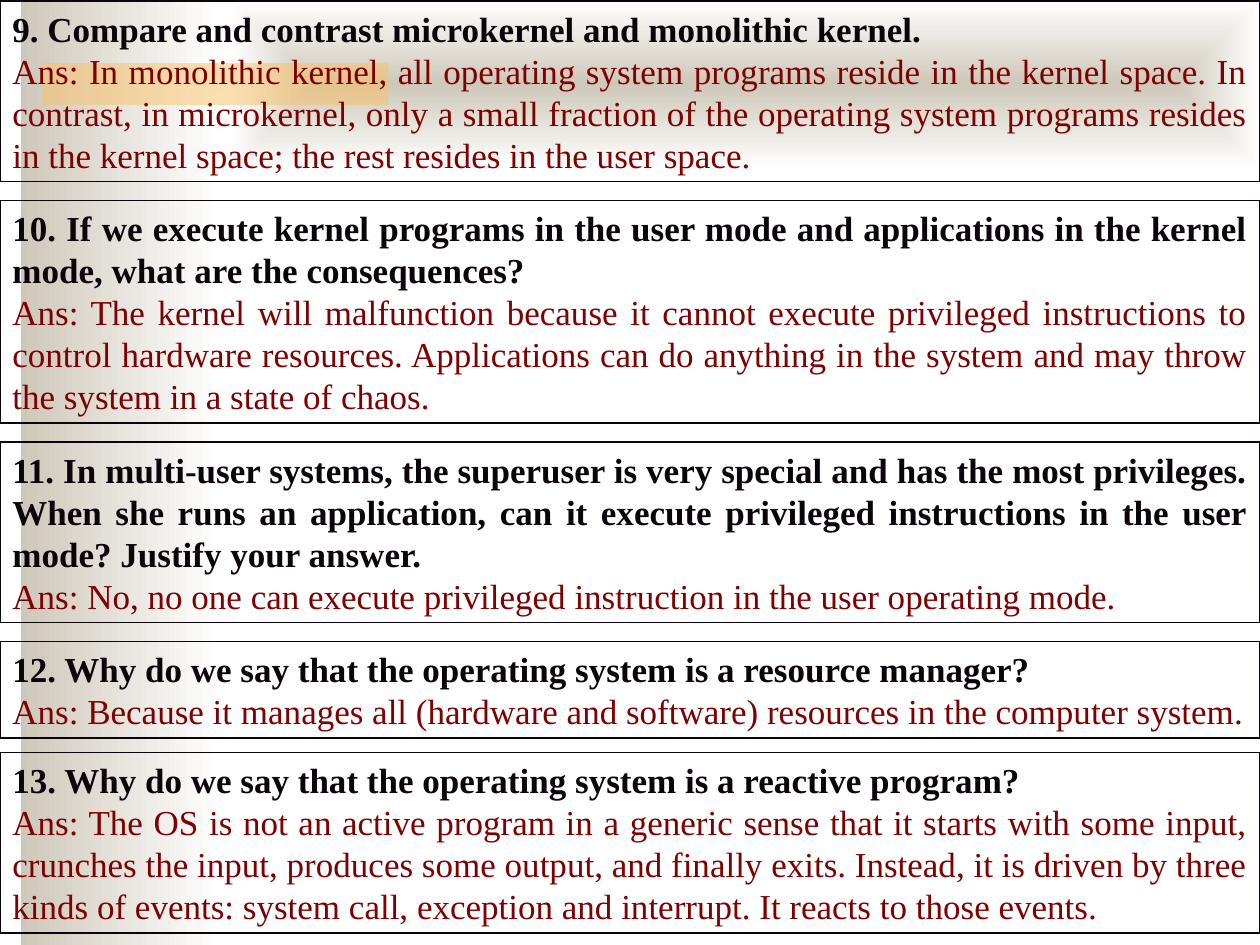
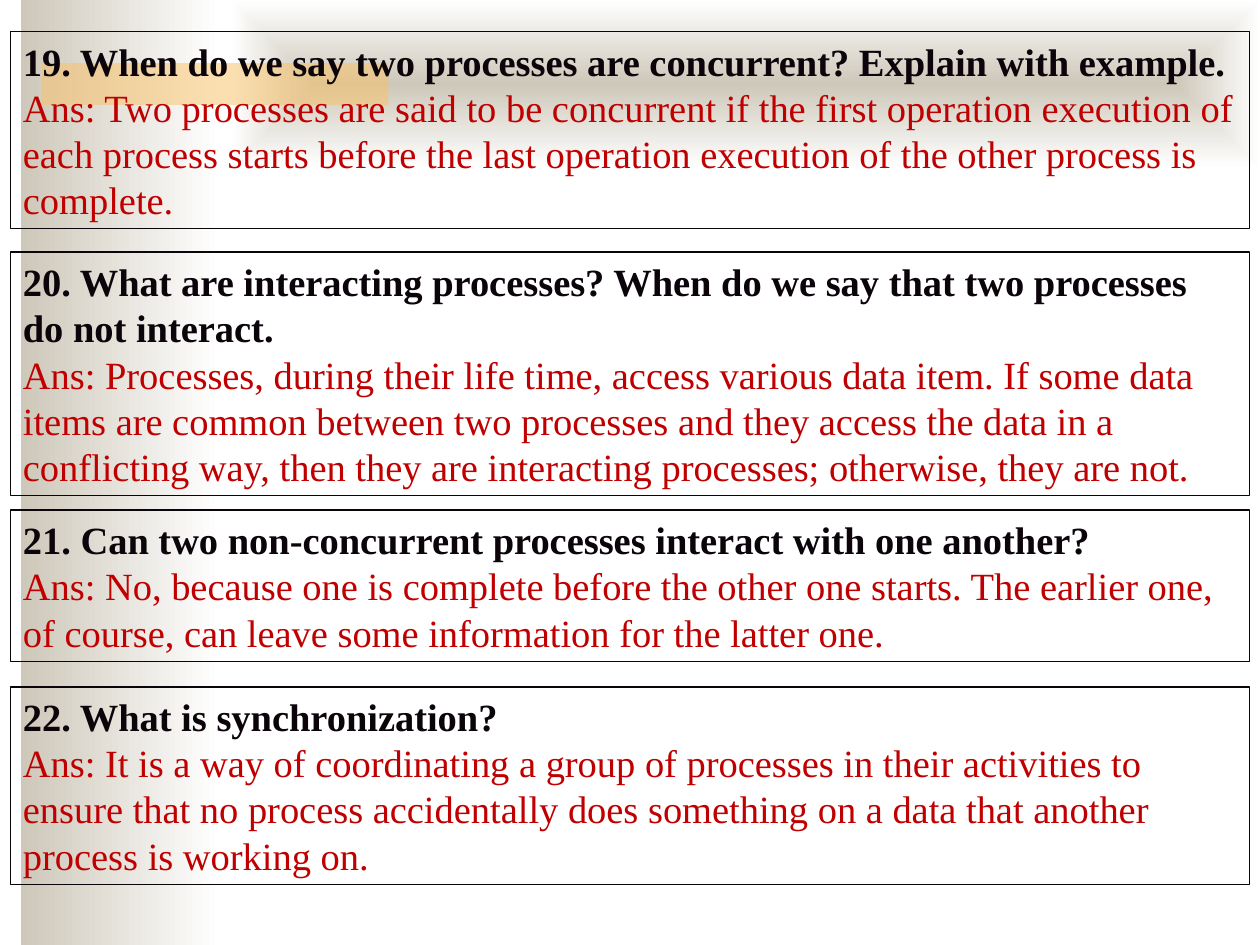
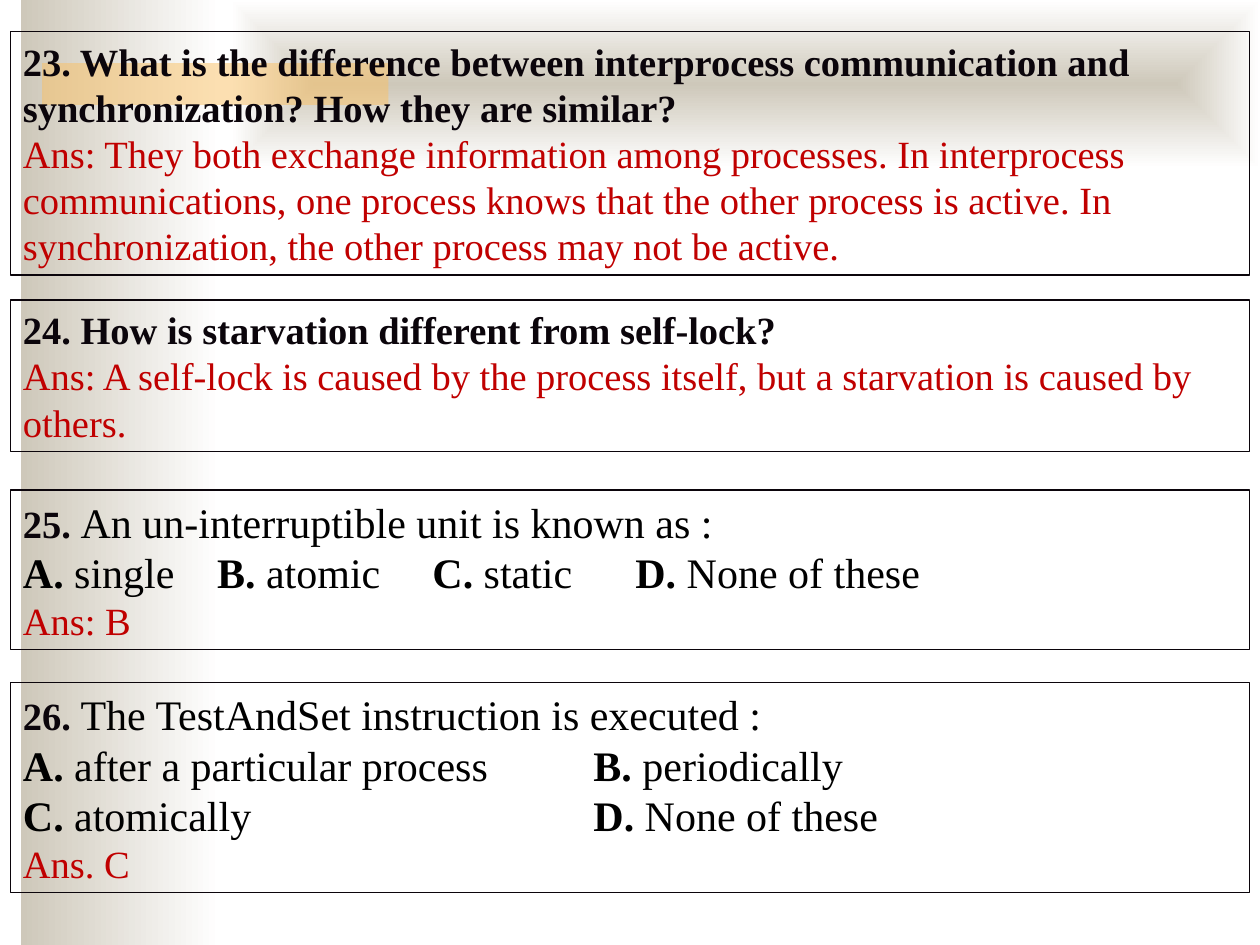
from lxml import etree
from pptx import Presentation
from pptx.dml.color import RGBColor
from pptx.enum import shapes, text
from pptx.oxml.ns import qn
from pptx.util import Pt

FONT = "Times New Roman"
INK, BLACK, WHITE = "0B050B", "000000", "FFFFFF"
MAROON, RED = "7E0000", "C00000"
SAND, AMBER = "CEC8BA", "FAC164"
LINE_SPACING = 1.2
INSET_X, INSET_Y = 7.2, 3.6
ANSWER_SIZE, CHOICE_SIZE = 22, 24

# Each entry: top, number of text lines, question, answer
KERNEL_QUESTIONS = [
    (0.5, 4, "9. Compare and contrast microkernel and monolithic kernel.",
     "Ans: In monolithic kernel, all operating system programs reside in the kernel space. "
     "In contrast, in microkernel, only a small fraction of the operating system programs "
     "resides in the kernel space; the rest resides in the user space."),
    (114.5, 5, "10. If we execute kernel programs in the user mode and applications in the "
     "kernel mode, what are the consequences?",
     "Ans: The kernel will malfunction because it cannot execute privileged instructions to "
     "control hardware resources. Applications can do anything in the system and may throw "
     "the system in a state of chaos."),
    (252.5, 4, "11. In multi-user systems, the superuser is very special and has the most "
     "privileges. When she runs an application, can it execute privileged instructions in "
     "the user mode? Justify your answer.",
     "Ans: No, no one can execute privileged instruction in the user operating mode."),
    (366.5, 2, "12. Why do we say that the operating system is a resource manager?",
     "Ans: Because it manages all (hardware and software) resources in the computer system."),
    (430, 4, "13. Why do we say that the operating system is a reactive program?",
     "Ans: The OS is not an active program in a generic sense that it starts with some "
     "input, crunches the input, produces some output, and finally exits. Instead, it is "
     "driven by three kinds of events: system call, exception and interrupt. It reacts to "
     "those events."),
]
PROCESS_QUESTIONS = [
    (18, 4, "19. When do we say two processes are concurrent? Explain with example.",
     "Ans: Two processes are said to be concurrent if the first operation execution of each "
     "process starts before the last operation execution of the other process is complete."),
    (144, 5, "20. What are interacting processes? When do we say that two processes do not "
     "interact.",
     "Ans: Processes, during their life time, access various data item. If some data items "
     "are common between two processes and they access the data in a conflicting way, then "
     "they are interacting processes; otherwise, they are not."),
    (291.5, 3, "21. Can two non-concurrent processes interact with one another?",
     "Ans: No, because one is complete before the other one starts. The earlier one, of "
     "course, can leave some information for the latter one."),
    (392.5, 4, "22. What is synchronization?",
     "Ans: It is a way of coordinating a group of processes in their activities to ensure "
     "that no process accidentally does something on a data that another process is "
     "working on."),
]
SYNC_QUESTIONS = [
    (18, 5, "23. What is the difference between interprocess communication and "
     "synchronization? How they are similar?",
     "Ans: They both exchange information among processes. In interprocess communications, "
     "one process knows that the other process is active. In synchronization, the other "
     "process may not be active."),
    (171.5, 3, "24. How is starvation different from self-lock?",
     "Ans: A self-lock is caused by the process itself, but a starvation is caused by "
     "others."),
]
# Each entry: top, number, question, rows of choices, tab stops, answer
CHOICE_QUESTIONS = [
    (280, "25. ", "An un-interruptible unit is known as :",
     [[("A.", "single"), ("B.", "atomic"), ("C.", "static"), ("D.", "None of these")]],
     [111, 234, 350], "Ans: B"),
    (390, "26. ", "The TestAndSet instruction is executed :",
     [[("A.", "after a particular process"), ("B.", "periodically")],
      [("C.", "atomically"), ("D.", "None of these")]],
     [326], "Ans. C"),
]


def rgb(value):
    return RGBColor.from_string(value)


def add_band(s, left, top, width, height):
    sp = s.shapes.add_shape(shapes.MSO_SHAPE.RECTANGLE, Pt(left), Pt(top), Pt(width), Pt(height))
    sp.shadow.inherit = False
    sp.line.fill.background()
    return sp


def fade(sp, from_centre=False):
    """Fill with sand fading to white, to the right or outwards from the centre."""
    sp.fill.gradient()
    sp.fill.gradient_angle = 0
    for stop, color in zip(sp.fill.gradient_stops, (SAND, WHITE)):
        stop.color.rgb = rgb(color)
    if from_centre:
        grad = sp.element.spPr.find(qn("a:gradFill"))
        grad.remove(grad.find(qn("a:lin")))
        shade = etree.SubElement(grad, qn("a:path"), {"path": "rect"})
        etree.SubElement(shade, qn("a:fillToRect"), dict.fromkeys("ltrb", "50000"))


def decorate_master(prs, s):
    """Draw the background bands on a slide, then move them to the master."""
    side = add_band(s, 12, 0, 114, 540)
    fade(side)
    top = add_band(s, 132, 0, 588, 96)
    fade(top, from_centre=True)
    accent = add_band(s, 24, 36, 198, 24)
    accent.fill.solid()
    accent.fill.fore_color.rgb = rgb(AMBER)
    color = accent.element.spPr.find(qn("a:solidFill"))[0]
    etree.SubElement(color, qn("a:alpha"), val="50000")

    tree = prs.slide_master.element.cSld.spTree
    for i, sp in enumerate((side, top, accent)):
        sp.element.nvSpPr.cNvPr.set("id", str(100 + i))
        tree.insert(2 + i, sp.element)


def add_box(s, left, top, width, line_sizes, anchor=text.MSO_ANCHOR.TOP):
    """Add an outlined text box as tall as lines of the given sizes."""
    height = LINE_SPACING * sum(line_sizes) + 2 * INSET_Y
    sp = s.shapes.add_textbox(Pt(left), Pt(top), Pt(width), Pt(height))
    sp.line.color.rgb = rgb(INK)
    sp.line.width = Pt(0.75)
    tf = sp.text_frame
    tf.word_wrap = True
    tf.auto_size = text.MSO_AUTO_SIZE.SHAPE_TO_FIT_TEXT
    tf.vertical_anchor = anchor
    tf.margin_left = tf.margin_right = Pt(INSET_X)
    tf.margin_top = tf.margin_bottom = Pt(INSET_Y)
    return tf


def add_run(p, words, size, color, bold=False):
    r = p.add_run()
    r.text = words
    r.font.name = FONT
    r.font.size = Pt(size)
    r.font.bold = bold
    r.font.color.rgb = rgb(color)


def set_tabs(p, stops):
    tabs = etree.SubElement(p._p.get_or_add_pPr(), qn("a:tabLst"))
    for stop in stops:
        etree.SubElement(tabs, qn("a:tab"), pos=str(Pt(stop)), algn="l")


def add_questions(s, questions, left, width, size, answer_color, align, anchor):
    for top, lines, question, answer in questions:
        tf = add_box(s, left, top, width, [size] * lines, anchor)
        p = tf.paragraphs[0]
        p.alignment = align
        add_run(p, question, size, INK, bold=True)
        p = tf.add_paragraph()
        p.alignment = align
        add_run(p, answer, size, answer_color)


def add_choice_question(s, left, width, top, number, question, rows, stops, answer):
    sizes = [CHOICE_SIZE] * (1 + len(rows)) + [ANSWER_SIZE]
    tf = add_box(s, left, top, width, sizes)
    p = tf.paragraphs[0]
    add_run(p, number, ANSWER_SIZE, INK, bold=True)
    add_run(p, question, CHOICE_SIZE, BLACK)
    for row in rows:
        p = tf.add_paragraph()
        set_tabs(p, stops)
        for i, (letter, choice) in enumerate(row):
            if i:
                add_run(p, "\t", CHOICE_SIZE, BLACK)
            add_run(p, letter, CHOICE_SIZE, BLACK, bold=True)
            add_run(p, " " + choice, CHOICE_SIZE, BLACK)
    add_run(tf.add_paragraph(), answer, ANSWER_SIZE, RED)


def main():
    prs = Presentation()
    prs.slide_width, prs.slide_height = Pt(720), Pt(540)
    blank = prs.slide_layouts[6]
    kernel, process, sync = [prs.slides.add_slide(blank) for _ in range(3)]
    decorate_master(prs, kernel)

    add_questions(kernel, KERNEL_QUESTIONS, 0, 720, 20, MAROON,
                  text.PP_ALIGN.JUSTIFY, text.MSO_ANCHOR.MIDDLE)
    left, width = 6, 708
    for s, questions in ((process, PROCESS_QUESTIONS), (sync, SYNC_QUESTIONS)):
        add_questions(s, questions, left, width, ANSWER_SIZE, RED,
                      text.PP_ALIGN.LEFT, text.MSO_ANCHOR.TOP)
    for entry in CHOICE_QUESTIONS:
        add_choice_question(sync, left, width, *entry)

    prs.save("out.pptx")


if __name__ == "__main__":
    main()
